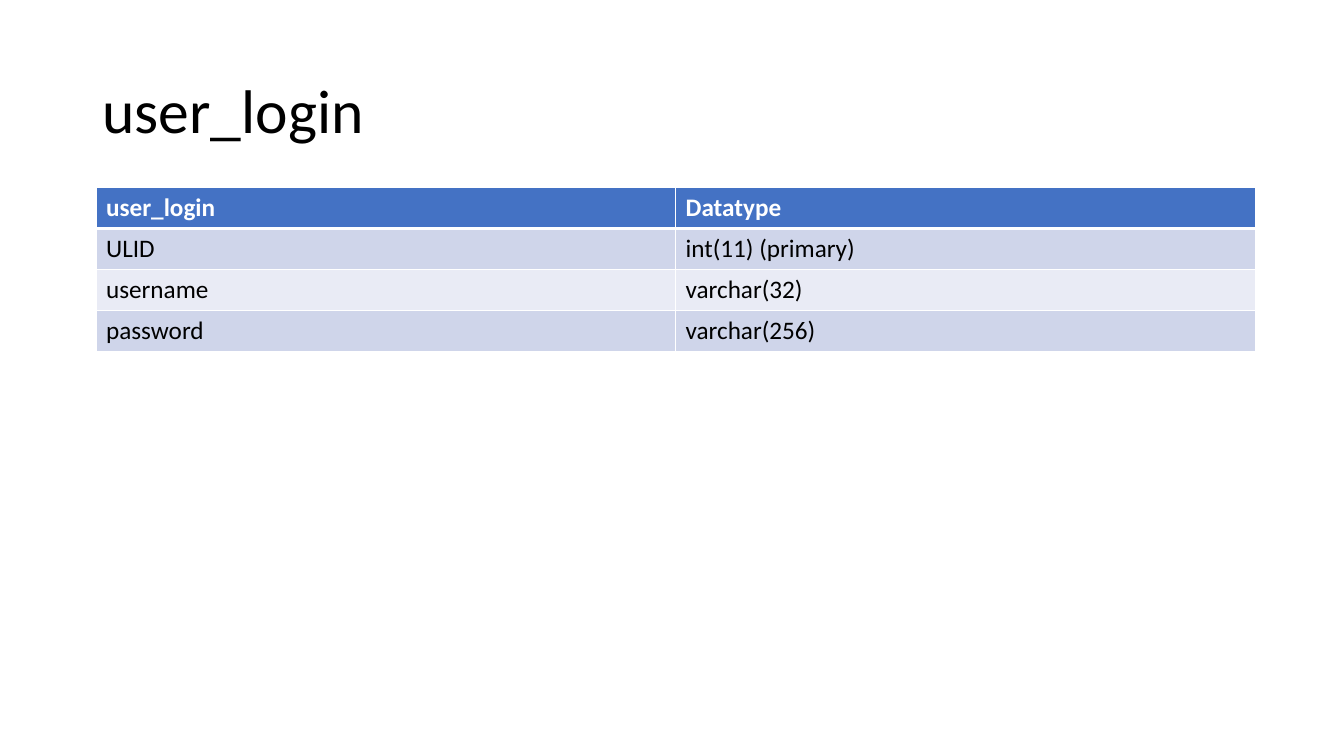
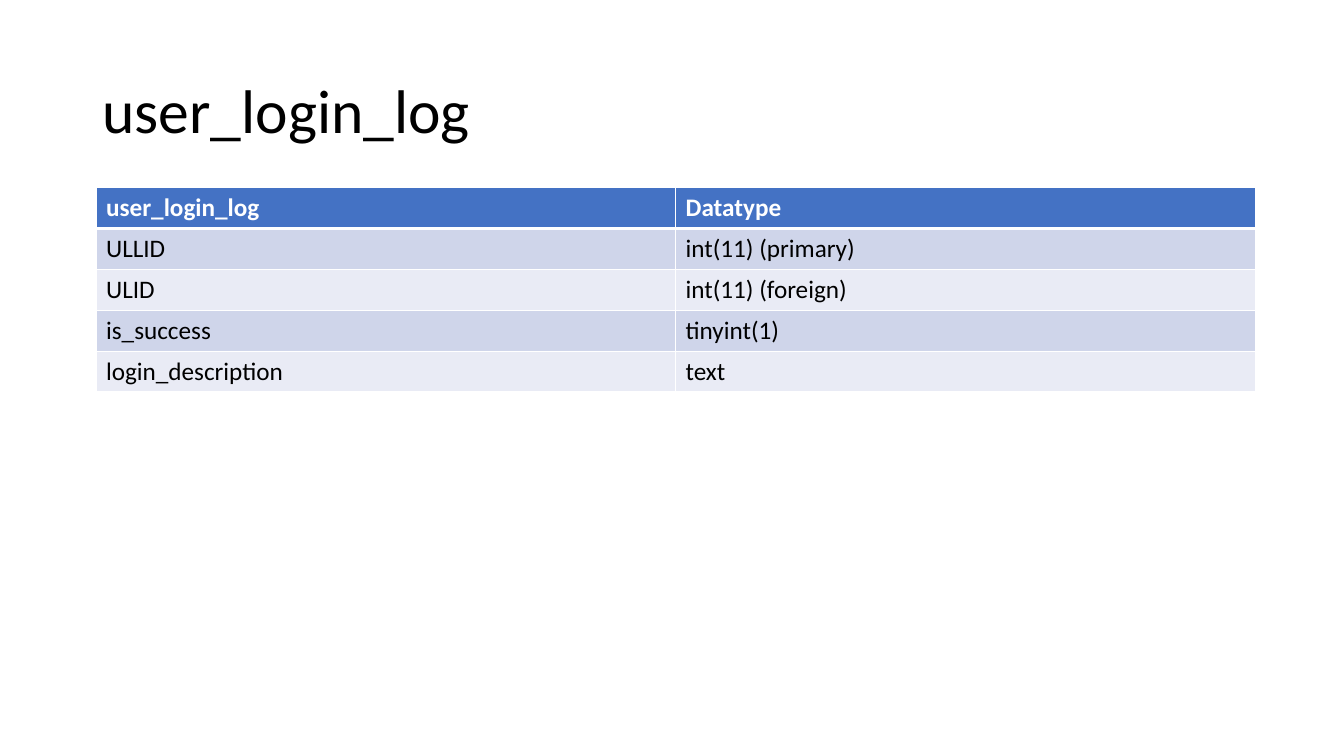
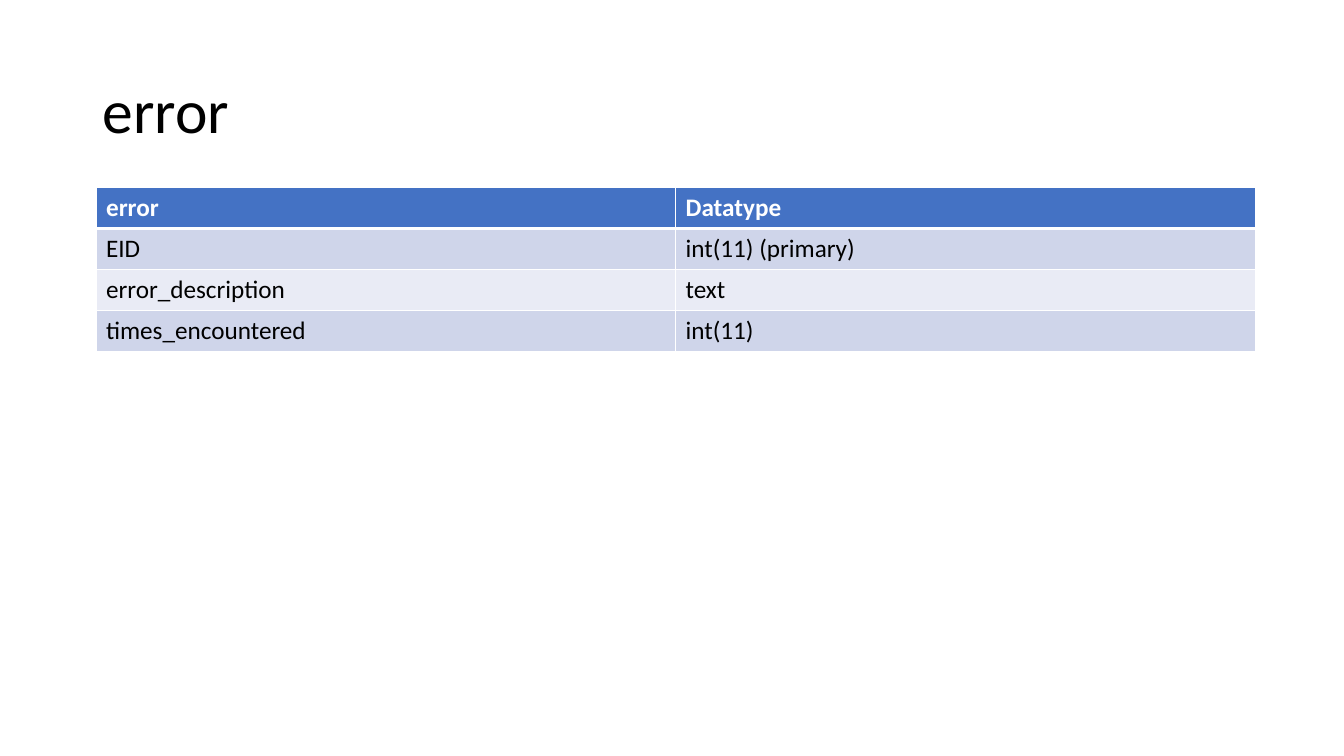
from lxml.etree import SubElement
from pptx import Presentation
from pptx.dml.color import RGBColor
from pptx.enum.text import MSO_ANCHOR as Anchor, PP_ALIGN as Align
from pptx.oxml.ns import qn
from pptx.util import Cm, Pt

FONT = "Calibri"
BLACK, WHITE = "000000", "FFFFFF"
HEADER, BANDS = "4472C4", ("CFD5EA", "E9EBF5")
TITLE_BOX = (2.33, 1.01, 29.21, 3.68)
TABLE_BOX = (2.42, 4.73, 29.21)
ROW_HEIGHT = 1.03
THIN, THICK = 1, 3

TABLES = {
    "user_login": [
        ("ULID", "int(11) (primary)"),
        ("username", "varchar(32)"),
        ("password", "varchar(256)"),
    ],
    "user_login_log": [
        ("ULLID", "int(11) (primary)"),
        ("ULID", "int(11) (foreign)"),
        ("is_success", "tinyint(1)"),
        ("login_description", "text"),
    ],
    "error": [
        ("EID", "int(11) (primary)"),
        ("error_description", "text"),
        ("times_encountered", "int(11)"),
    ],
}


def rgb(color):
    return RGBColor.from_string(color)


def write(tf, text, size=18, color=BLACK, bold=False, spacing=1.0):
    p = tf.paragraphs[0]
    p.alignment = Align.LEFT
    p.line_spacing = spacing
    r = p.add_run()
    r.text = text
    r.font.name = FONT
    r.font.size = Pt(size)
    r.font.bold = bold
    r.font.color.rgb = rgb(color)


def set_borders(cell, top, bottom):
    tc_pr = cell._tc.get_or_add_tcPr()
    for side, width in (("L", THIN), ("R", THIN), ("T", top), ("B", bottom)):
        line = SubElement(tc_pr, qn(f"a:ln{side}"), w=str(Pt(width)))
        fill = SubElement(line, qn("a:solidFill"))
        SubElement(fill, qn("a:srgbClr"), val=WHITE)


def add_title(s, text, box):
    sp = s.shapes.title
    sp.left, sp.top, sp.width, sp.height = map(Cm, box)
    tf = sp.text_frame
    tf.word_wrap = True
    tf.vertical_anchor = Anchor.MIDDLE
    write(tf, text, size=44, spacing=0.9)


def add_columns_table(s, rows, box):
    left, top, width = box
    height = ROW_HEIGHT * len(rows)
    table = s.shapes.add_table(
        len(rows), len(rows[0]), Cm(left), Cm(top), Cm(width), Cm(height)
    ).table
    for i, row in enumerate(rows):
        is_header = i == 0
        for j, text in enumerate(row):
            cell = table.cell(i, j)
            set_borders(cell, THICK if i == 1 else THIN, THICK if is_header else THIN)
            cell.fill.solid()
            cell.fill.fore_color.rgb = rgb(HEADER if is_header else BANDS[(i - 1) % 2])
            write(cell.text_frame, text, color=WHITE if is_header else BLACK, bold=is_header)


def add_schema_slide(prs, name, fields):
    s = prs.slides.add_slide(prs.slide_layouts.get_by_name("Title Only"))
    add_title(s, name, TITLE_BOX)
    add_columns_table(s, [(name, "Datatype"), *fields], TABLE_BOX)


prs = Presentation()
prs.slide_width, prs.slide_height = Cm(33.87), Cm(19.05)
for name, fields in TABLES.items():
    add_schema_slide(prs, name, fields)
prs.save("out.pptx")
